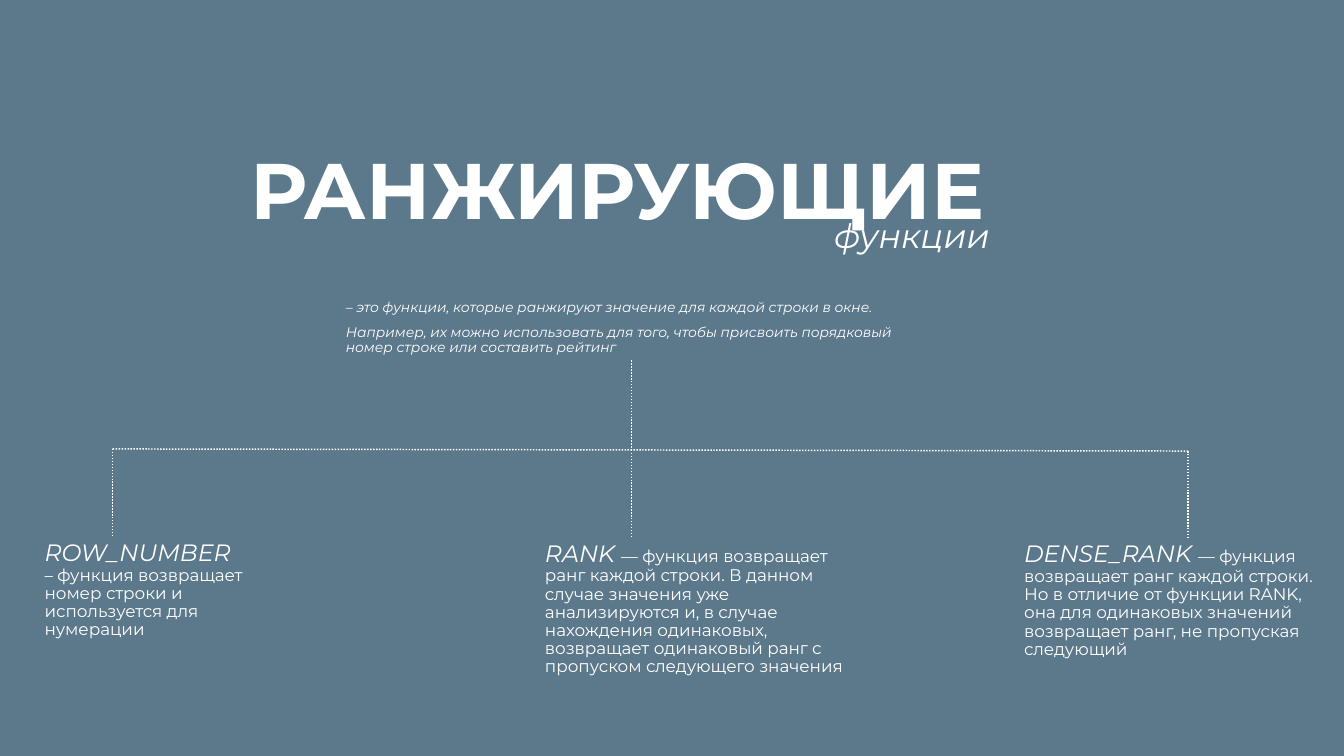
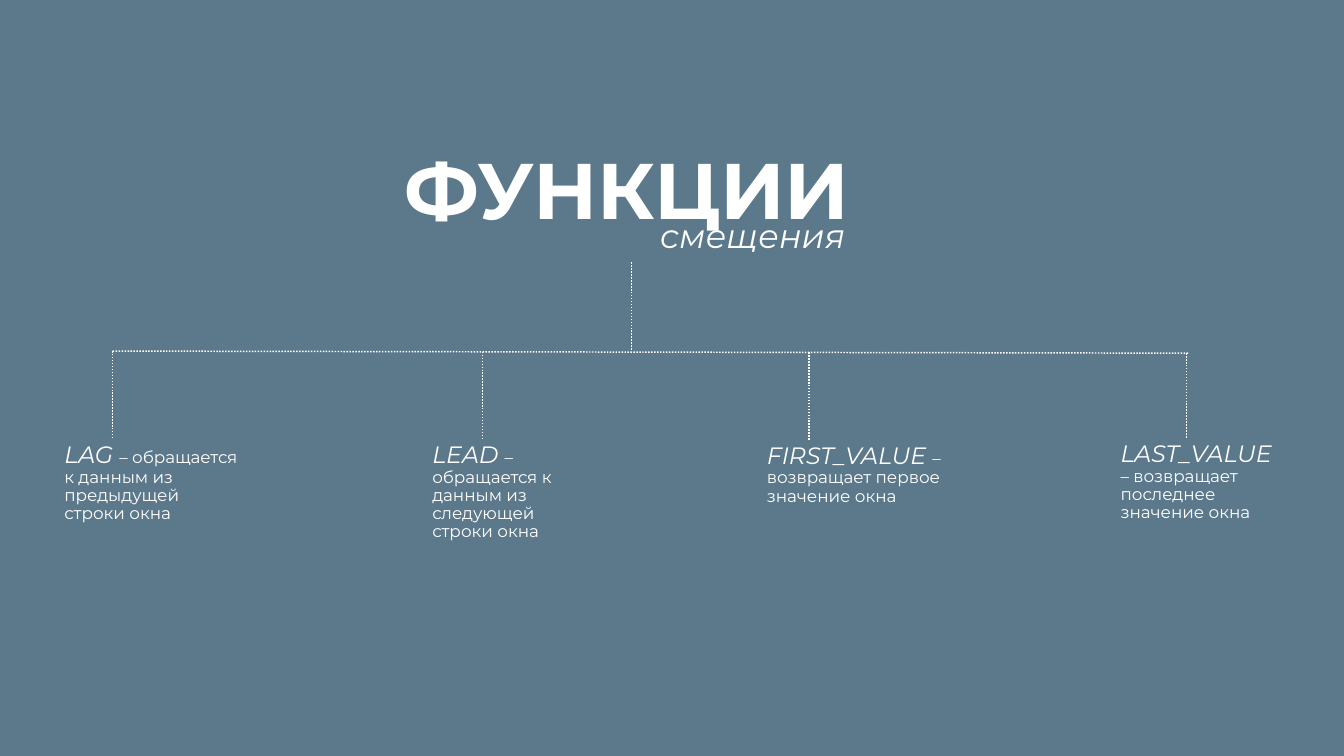
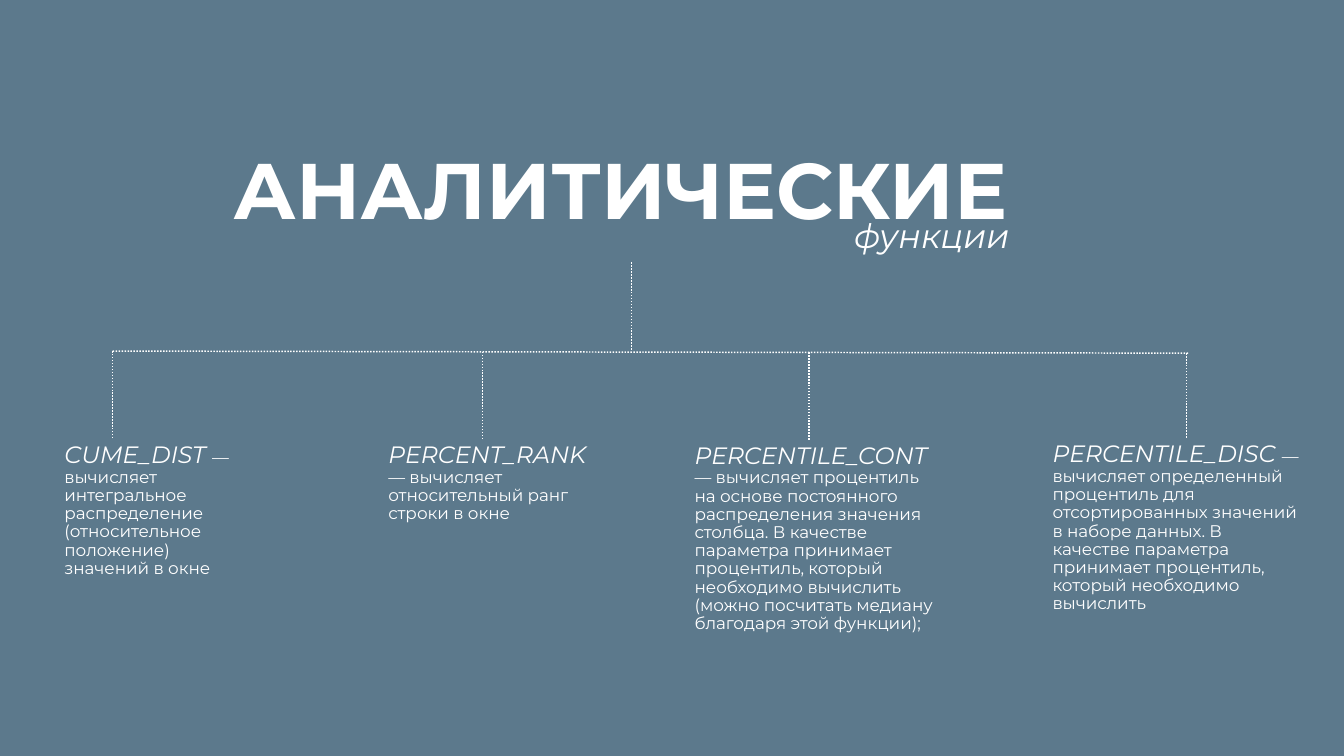
"""Builds three slides that chart the kinds of SQL window functions."""
from lxml import etree
from pptx import Presentation
from pptx import util as u
from pptx.dml.color import RGBColor
from pptx.enum import dml, shapes, text
from pptx.oxml.ns import qn


def paint(code):
    """Turn a hex string into a colour."""
    return RGBColor.from_string(code)


class Deck:
    """Holds the style and the current slide."""

    BACK = "5C798C"
    INK = "FFFFFF"
    FACE = "Montserrat"
    LEFT, RIGHT, TRUNK = 1.59, 16.76, 8.91
    TILT = 0.03

    def __init__(self):
        """Start an empty deck."""
        self.prs = Presentation()
        self.prs.slide_width = u.Inches(18.96)
        self.prs.slide_height = u.Inches(10.66)

    def page(self):
        """Add a blank slide with the shared background."""
        self.slide = self.prs.slides.add_slide(self.prs.slide_layouts[6])
        fill = self.slide.background.fill
        fill.solid()
        fill.fore_color.rgb = paint(self.BACK)

    def box(self, area, paras, align=text.PP_ALIGN.LEFT):
        """Add a text box; each paragraph is a list of (text, size, style) runs."""
        frame = self.slide.shapes.add_textbox(*map(u.Inches, area)).text_frame
        frame.word_wrap = True
        for num, runs in enumerate(paras):
            para = frame.add_paragraph() if num else frame.paragraphs[0]
            para.alignment = align
            para.line_spacing = 0.9
            para.space_before = u.Pt(10 if num else 0)
            para.font.name = self.FACE
            para.font.color.rgb = paint(self.INK)
            for words, size, style in runs:
                run = para.add_run()
                run.text = words
                font = para.font if len(runs) == 1 else run.font
                font.size = u.Pt(size)
                font.bold = style == "bold"
                font.italic = style == "italic"

    def title(self, head, area, sub, left):
        """Add the large heading and the slanted word under it."""
        mid = text.PP_ALIGN.CENTER
        self.box(area, [[(head, 80, "bold")]], mid)
        self.box((left, 3.04, 3.55, 0.74), [[(sub, 34.1, "italic")]], mid)

    def line(self, *ends):
        """Add a dotted line."""
        line = self.slide.shapes.add_connector(
            shapes.MSO_CONNECTOR.STRAIGHT, *map(u.Inches, ends))
        line.line.color.rgb = paint(self.INK)
        line.line.width = u.Pt(1.5)
        line.line.dash_style = dml.MSO_LINE.ROUND_DOT
        etree.SubElement(line._element.spPr, qn("a:effectLst"))

    def tree(self, level, leaves):
        """Add the trunk, the cross bar and a labelled branch for each leaf."""
        self.line(self.TRUNK, level - 1.25, self.TRUNK, level)
        self.line(self.RIGHT, level + self.TILT, self.LEFT, level)
        slope = self.TILT / (self.RIGHT - self.LEFT)
        for x, area, name, words in leaves:
            self.line(x, level + slope * (x - self.LEFT), x, area[1])
            self.box(area, [[(name + " ", 24, "italic"), (words, 17.1, "")]])


def main():
    """Build and save the deck."""
    deck = Deck()

    deck.page()
    deck.title("РАНЖИРУЮЩИЕ", (2.8, 2.08, 11.82, 1.01), "функции", 11.09)
    notes = (
        "– это функции, которые ранжируют значение для каждой строки в окне.",
        "Например, их можно использовать для того, чтобы присвоить порядковый "
        "номер строке или составить рейтинг",
    )
    deck.box((4.78, 4.19, 8.17, 0.74), [[(note, 14, "italic")] for note in notes])
    deck.tree(6.33, [
        (1.59, (0.53, 7.58, 3.02, 2.1), "ROW_NUMBER",
         "– функция возвращает номер строки и используется для нумерации"),
        (8.91, (7.59, 7.59, 4.73, 2.39), "RANK",
         "— функция возвращает ранг каждой строки. В данном случае значения "
         "уже анализируются и, в случае нахождения одинаковых, возвращает "
         "одинаковый ранг с пропуском следующего значения"),
        (16.76, (14.35, 7.6, 4.56, 2.39), "DENSE_RANK",
         "— функция возвращает ранг каждой строки. Но в отличие от функции "
         "RANK, она для одинаковых значений возвращает ранг, не пропуская "
         "следующий"),
    ])

    deck.page()
    deck.title("ФУНКЦИИ", (5.26, 2.08, 7.18, 1.01), "смещения", 8.84)
    deck.tree(4.95, [
        (1.59, (0.81, 6.2, 2.66, 2.1), "LAG",
         "– обращается к данным из предыдущей строки окна"),
        (6.81, (6, 6.2, 2.51, 2.39), "LEAD",
         "– обращается к данным из следующей строки окна"),
        (11.41, (10.72, 6.21, 2.7, 4.43), "FIRST_VALUE",
         "– возвращает первое значение окна"),
        (16.74, (15.71, 6.19, 2.41, 3.73), "LAST_VALUE",
         "– возвращает последнее значение окна"),
    ])

    deck.page()
    deck.title("АНАЛИТИЧЕСКИЕ", (2.95, 2.08, 11.61, 1.01), "функции", 11.37)
    deck.tree(4.95, [
        (1.59, (0.81, 6.2, 2.66, 2.1), "CUME_DIST",
         "— вычисляет интегральное распределение (относительное положение) "
         "значений в окне"),
        (6.81, (5.38, 6.2, 3.13, 2.39), "PERCENT_RANK",
         "— вычисляет относительный ранг строки в окне"),
        (11.41, (9.7, 6.21, 3.71, 4.43), "PERCENTILE_CONT",
         "— вычисляет процентиль на основе постоянного распределения значения "
         "столбца. В качестве параметра принимает процентиль, который "
         "необходимо вычислить (можно посчитать медиану благодаря этой "
         "функции);"),
        (16.74, (14.75, 6.19, 3.71, 3.73), "PERCENTILE_DISC",
         "— вычисляет определенный процентиль для отсортированных значений в "
         "наборе данных. В качестве параметра принимает процентиль, который "
         "необходимо вычислить"),
    ])

    deck.prs.save("out.pptx")


if __name__ == "__main__":
    main()
